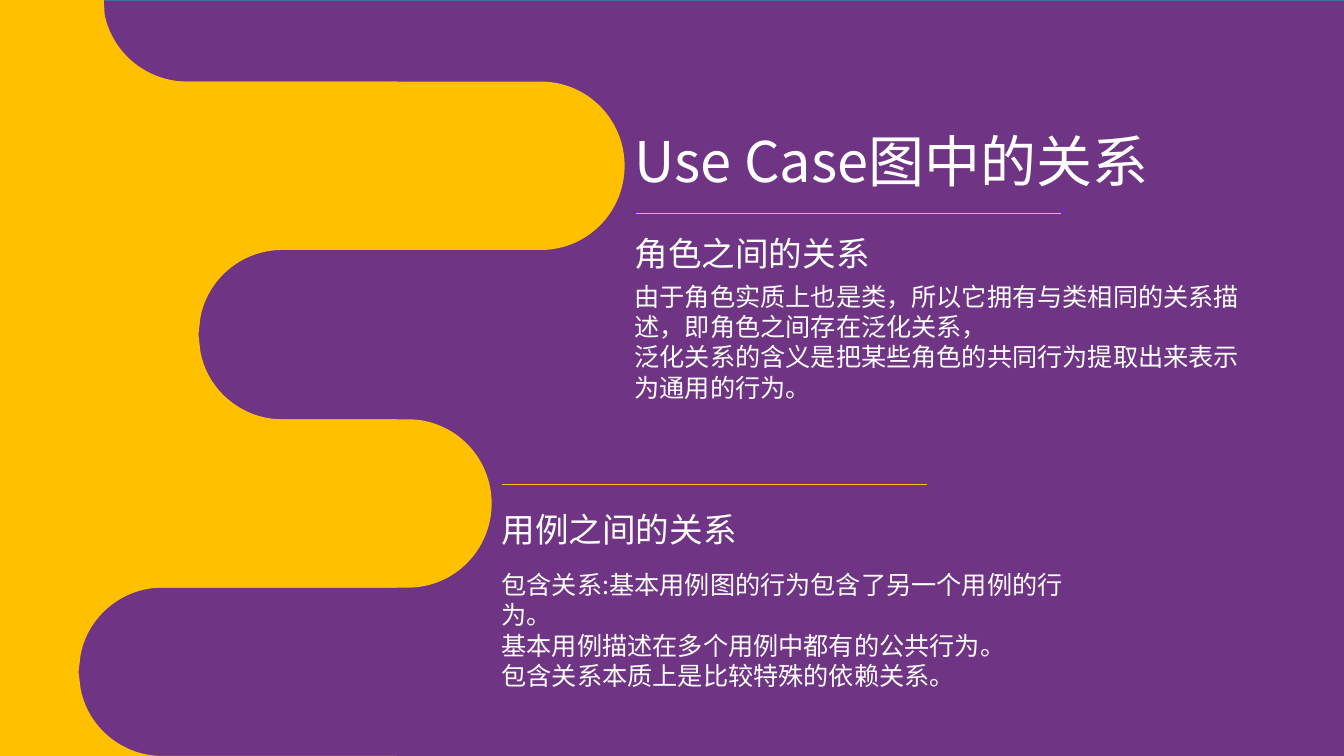
from dataclasses import dataclass

from lxml import etree
from pptx import Presentation
from pptx import util as u
from pptx.dml.color import RGBColor
from pptx.enum import shapes, text
from pptx.oxml.ns import qn


@dataclass(frozen=True)
class Theme:
    purple: str = "6F3484"
    yellow: str = "FFC000"
    white: str = "FFFFFF"
    border: str = "41719C"
    font: str = "Noto Sans CJK SC"
    title: int = 40
    heading: int = 24
    body: int = 18


THEME = Theme()
SCALE = 9144
WIDTH, HEIGHT = 1334, 750
BANDS = [81, 248, 416, 583, 750]
WAVE_EDGE = 394


def px(length):
    return u.Emu(round(length * SCALE))


def color(value):
    return RGBColor.from_string(value)


def add_background(slide):
    slide.background.fill.solid()
    slide.background.fill.fore_color.rgb = color(THEME.purple)
    shape = slide.shapes.add_shape(
        shapes.MSO_SHAPE.RECTANGLE, 0, 0, px(WIDTH + 2), px(HEIGHT + 2))
    shape.shadow.inherit = False
    shape.fill.solid()
    shape.fill.fore_color.rgb = color(THEME.purple)
    shape.line.color.rgb = color(THEME.border)
    shape.line.width = u.Pt(1)


def add_outline(slide, segments):
    corners = [(px(x), px(y)) for segment in segments for x, y in segment]
    builder = slide.shapes.build_freeform(*corners[0])
    builder.add_line_segments(corners[1:], close=True)
    shape = builder.convert_to_shape()
    steps = iter(list(shape._element.iter(qn("a:lnTo"))))
    for segment in segments[1:]:
        lines = [next(steps) for _ in segment]
        if len(lines) == 3:
            curve = etree.Element(qn("a:cubicBezTo"))
            lines[0].addprevious(curve)
            for line in lines:
                curve.append(line[0])
                line.getparent().remove(line)
    shape.shadow.inherit = False
    shape.fill.solid()
    shape.fill.fore_color.rgb = color(THEME.yellow)
    shape.line.fill.background()


def notch(left, top, bottom):
    return [
        [(WAVE_EDGE, top)],
        [(left + 83, top)],
        [(left + 43, top), (left + 9, top + 29), (left + 2, top + 67)],
        [(left, (top + bottom) / 2)],
        [(left + 2, bottom - 67)],
        [(left + 9, bottom - 29), (left + 43, bottom), (left + 83, bottom)],
        [(WAVE_EDGE, bottom)],
    ]


def add_wave(slide):
    add_outline(slide, [
        [(0, 0)],
        [(103, 0)],
        [(104, 15)],
        [(112, 53), (146, 81), (186, 81)],
        [(WAVE_EDGE, BANDS[0])],
        *notch(197, *BANDS[1:3]),
        *notch(78, *BANDS[3:5]),
        [(0, HEIGHT)],
    ])


def add_bar(slide, right, top, bottom):
    middle = (top + bottom) / 2
    add_outline(slide, [
        [(0, top)],
        [(right - 83, top)],
        [(right - 37, top), (right, middle - 46), (right, middle)],
        [(right, middle + 46), (right - 37, bottom), (right - 83, bottom)],
        [(0, bottom)],
    ])


def add_text(slide, content, *, left, top, width, height, size, right_inset=10):
    box = slide.shapes.add_textbox(px(left), px(top), px(width), px(height))
    frame = box.text_frame
    frame.word_wrap = True
    frame.auto_size = text.MSO_AUTO_SIZE.SHAPE_TO_FIT_TEXT
    frame.margin_right = px(right_inset)
    frame.text = content
    for paragraph in frame.paragraphs:
        for run in paragraph.runs:
            run.font.size = u.Pt(size)
            run.font.name = THEME.font
            run.font.color.rgb = color(THEME.white)
            east_asian = etree.SubElement(run.font._element, qn("a:ea"))
            east_asian.set("typeface", THEME.font)


def add_rule(slide, left, top, length=422):
    line = slide.shapes.add_connector(
        shapes.MSO_CONNECTOR.STRAIGHT, px(left), px(top), px(left + length), px(top))
    line.line.color.rgb = color(THEME.yellow)
    line.line.width = u.Pt(0.5)
    etree.SubElement(line._element.spPr, qn("a:effectLst"))


def add_section(slide, heading, body, *, left, heading_top, body_top, right_inset=10):
    add_text(slide, heading, left=left, top=heading_top, width=475, height=50,
             size=THEME.heading)
    add_text(slide, "\n".join(body), left=left, top=body_top, width=630, height=130,
             size=THEME.body, right_inset=right_inset)


def main():
    presentation = Presentation()
    presentation.slide_width = px(WIDTH)
    presentation.slide_height = px(HEIGHT)
    slide = presentation.slides.add_slide(presentation.slide_layouts[6])

    add_background(slide)
    add_wave(slide)
    add_bar(slide, 620, *BANDS[0:2])
    add_bar(slide, 488, *BANDS[2:4])

    add_text(slide, "Use Case图中的关系", left=620, top=121, width=568, height=77,
             size=THEME.title)
    add_section(slide, "角色之间的关系", [
        "由于角色实质上也是类，所以它拥有与类相同的关系描述，即角色之间存在泛化关系，",
        "泛化关系的含义是把某些角色的共同行为提取出来表示为通用的行为。",
    ], left=620, heading_top=226, body_top=274)
    add_rule(slide, 631, 212)

    add_section(slide, "用例之间的关系", [
        "包含关系:基本用例图的行为包含了另一个用例的行为。",
        "基本用例描述在多个用例中都有的公共行为。",
        "包含关系本质上是比较特殊的依赖关系。",
    ], left=488, heading_top=500, body_top=560, right_inset=40)
    add_rule(slide, 498, 481)

    presentation.save("out.pptx")


if __name__ == "__main__":
    main()
